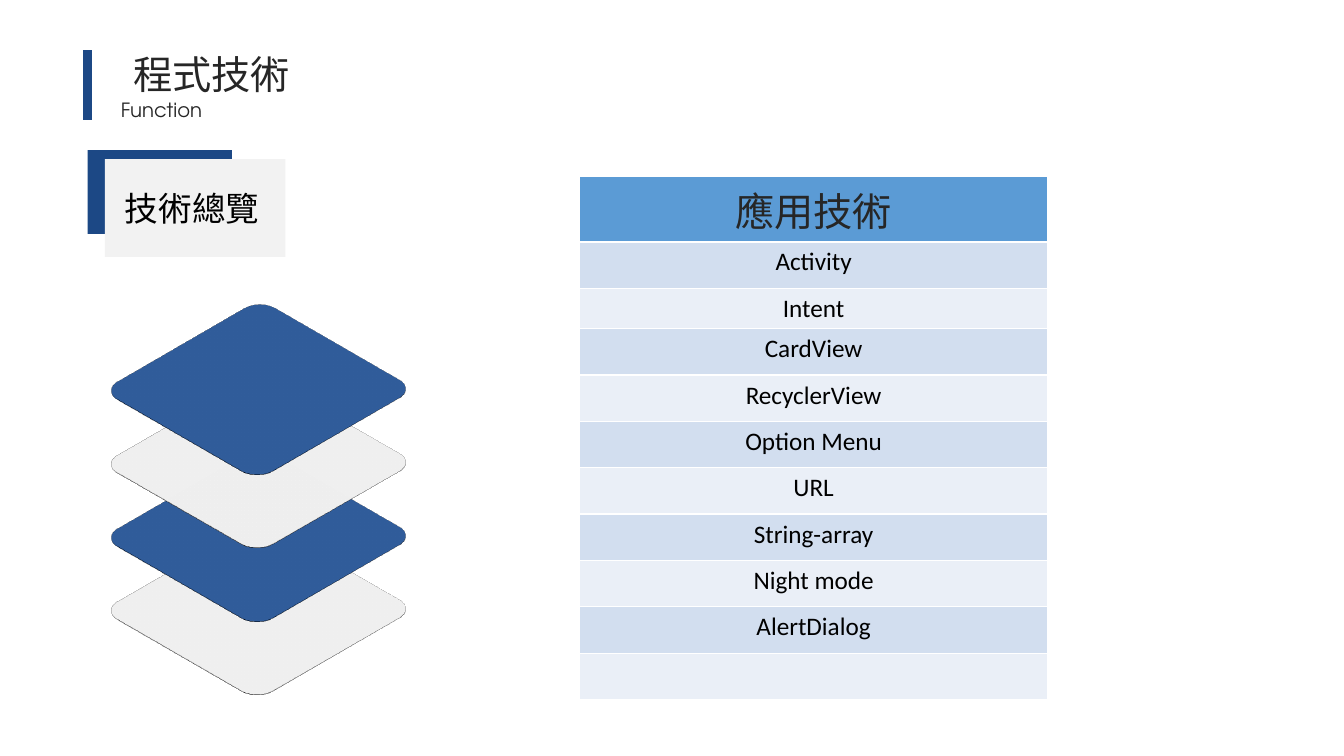
from dataclasses import dataclass

from lxml import etree
from pptx import Presentation
from pptx.dml.color import RGBColor
from pptx.enum.shapes import MSO_CONNECTOR, MSO_SHAPE
from pptx.enum.text import MSO_ANCHOR, MSO_AUTO_SIZE, PP_ALIGN
from pptx.oxml import parse_xml
from pptx.oxml.ns import qn
from pptx.util import Inches, Pt

RECTANGLE, ROUNDED = MSO_SHAPE.RECTANGLE, MSO_SHAPE.ROUNDED_RECTANGLE
CENTER, JUSTIFY = PP_ALIGN.CENTER, PP_ALIGN.JUSTIFY


@dataclass(frozen=True)
class Theme:
    blue: str = "1C4885"
    tile_gray: str = "D9D9D9"
    label_gray: str = "F2F2F2"
    header: str = "5B9BD5"
    bands: tuple = ("D2DEEF", "EAEFF7")
    dark: str = "262626"
    black: str = "000000"
    heading_font: str = "Lato"
    subtitle_font: str = "TeX Gyre Adventor"
    body_font: str = "Calibri"
    title_size: int = 28
    label_size: int = 24
    body_size: int = 18
    subtitle_size: int = 14


theme = Theme()


def write_text(text_frame, text, font_name, size, color, alignment):
    paragraph = text_frame.paragraphs[0]
    paragraph.alignment = alignment
    run = paragraph.add_run()
    run.text = text
    formats = {"name": font_name, "size": Pt(size), "bold": False}
    for attribute, value in formats.items():
        setattr(run.font, attribute, value)
    run.font.color.rgb = RGBColor.from_string(color)


def add_block(kind, box, color):
    shape = slide.shapes.add_shape(kind, *map(Inches, box))
    shape.shadow.inherit = False
    shape.fill.solid()
    shape.fill.fore_color.rgb = RGBColor.from_string(color)
    shape.line.fill.background()
    return shape


presentation = Presentation()
presentation.slide_width = Inches(13.33)
presentation.slide_height = Inches(7.5)
slide = presentation.slides.add_slide(presentation.slide_layouts[5])

# Stack of four isometric tiles, lowest first
DRAWING = 'xmlns:a="http://schemas.openxmlformats.org/drawingml/2006/main"'
for level in range(4):
    color = theme.blue if level % 2 else theme.tile_gray
    tile = add_block(ROUNDED, (1.46, 4.96 - 0.727 * level, 2.21, 2.17), color)
    tile.adjustments[0] = 0.1
    properties = tile._element.spPr
    properties.append(parse_xml(
        f'<a:scene3d {DRAWING}><a:camera prst="isometricTopUp"/>'
        '<a:lightRig rig="threePt" dir="t"/></a:scene3d>'))
    properties.append(parse_xml(f'<a:sp3d {DRAWING} extrusionH="6350"/>'))

# Table of techniques
techniques = ["Activity", "Intent", "CardView", "RecyclerView", "Option Menu",
              "URL", "String-array", "Night mode", "AlertDialog", ""]
heights = [0.65, 0.46, 0.23] + [0.46] * 8
table = slide.shapes.add_table(
    len(heights), 1, Inches(5.75), Inches(1.75), Inches(4.64), Inches(5.2)).table
for row, height in zip(table.rows, heights):
    row.height = Inches(height)

header = table.cell(0, 0)
header.fill.solid()
header.fill.fore_color.rgb = RGBColor.from_string(theme.header)
write_text(header.text_frame, "應用技術", theme.heading_font,
           theme.title_size, theme.dark, CENTER)
for index, technique in enumerate(techniques):
    cell = table.cell(index + 1, 0)
    cell.fill.solid()
    cell.fill.fore_color.rgb = RGBColor.from_string(theme.bands[index % 2])
    if technique:
        write_text(cell.text_frame, technique, theme.body_font,
                   theme.body_size, theme.black, CENTER)

# Section label: blue corner behind a gray box
for box, color in [((0.87, 1.49, 0.17, 0.83), theme.blue),
                   ((1.04, 1.49, 1.26, 0.09), theme.blue),
                   ((1.04, 1.58, 1.79, 0.97), theme.label_gray)]:
    add_block(RECTANGLE, box, color)

# Title, subtitle and label text
texts = [
    (slide.shapes.title, (1.22, 0.45, 2.05, 0.57), "程式技術",
     theme.heading_font, theme.title_size, theme.dark),
    (slide.shapes.add_textbox(0, 0, 0, 0), (1.1, 0.92, 2.34, 0.34), "Function",
     theme.subtitle_font, theme.subtitle_size, theme.dark),
    (slide.shapes.add_textbox(0, 0, 0, 0), (1.14, 1.82, 1.63, 0.5), "技術總覽",
     theme.heading_font, theme.label_size, theme.black),
]
for shape, box, text, font_name, size, color in texts:
    for attribute, value in zip(("left", "top", "width", "height"), box):
        setattr(shape, attribute, Inches(value))
    frame_formats = {"word_wrap": True, "vertical_anchor": MSO_ANCHOR.TOP,
                     "auto_size": MSO_AUTO_SIZE.SHAPE_TO_FIT_TEXT}
    for attribute, value in frame_formats.items():
        setattr(shape.text_frame, attribute, value)
    write_text(shape.text_frame, text, font_name, size, color, JUSTIFY)

# Accent line beside the title
accent = slide.shapes.add_connector(
    MSO_CONNECTOR.STRAIGHT, Inches(0.87), Inches(0.5), Inches(0.87), Inches(1.19))
accent.line.width = Pt(6)
accent.line.color.rgb = RGBColor.from_string(theme.blue)
etree.SubElement(accent._element.spPr, qn("a:effectLst"))

presentation.save("out.pptx")
